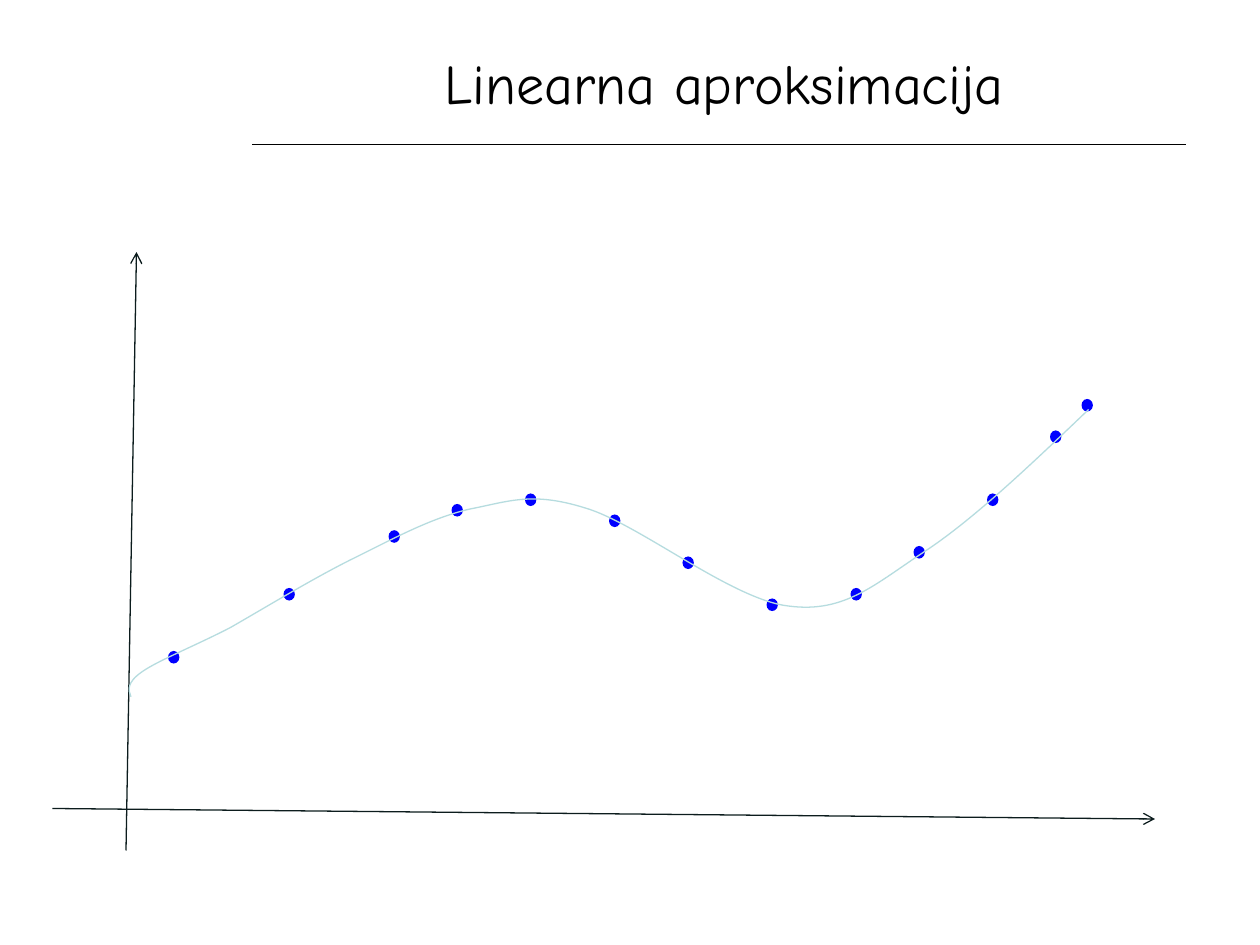
"""Build the slide on linear approximation: a curve with sample points on two axes."""
from typing import NamedTuple

from lxml import etree
from pptx import Presentation
from pptx.dml.color import RGBColor
from pptx.enum.shapes import MSO_CONNECTOR, MSO_SHAPE
from pptx.enum.text import MSO_ANCHOR, PP_ALIGN
from pptx.oxml.ns import qn
from pptx.util import Inches, Pt

STRAIGHT = MSO_CONNECTOR.STRAIGHT
OVAL = MSO_SHAPE.OVAL
MIDDLE = MSO_ANCHOR.MIDDLE
CENTER = PP_ALIGN.CENTER

BLACK = RGBColor(0x00, 0x00, 0x00)
AXIS_INK = RGBColor(0x0C, 0x1C, 0x1D)
DOT_BLUE = RGBColor(0x00, 0x00, 0xFF)
CURVE_TEAL = RGBColor(0xB6, 0xDC, 0xDF)

FONT = "Comic Neue"
CELL = Inches(1) / 12
HUNDREDTH = Inches(0.01)
DOT_WIDTH, DOT_HEIGHT = Inches(0.09), Inches(0.1)
LINE_WIDTH = Pt(0.75)


class Point(NamedTuple):
    """A place on the slide, in grid cells or in hundredths of an inch."""
    x: float
    y: float


class Line(NamedTuple):
    """A straight line between two grid points."""
    start: Point
    end: Point
    color: RGBColor
    arrow: bool


LINES = [
    Line(Point(24, 13.75), Point(112.92, 13.75), BLACK, False),
    Line(Point(12, 81), Point(13, 24), AXIS_INK, True),
    Line(Point(5, 77), Point(110, 78), AXIS_INK, True),
]
SAMPLES = [
    Point(16, 62), Point(27, 56), Point(37, 50.5), Point(43, 48), Point(50, 47),
    Point(58, 49), Point(65, 53), Point(73, 57), Point(81, 56), Point(87, 52),
    Point(94, 47), Point(100, 41), Point(103, 38),
]
CURVE_START = Point(104, 553)
CURVE_PIECES = [
    (Point(102, 548), Point(100, 542), Point(113, 533)),
    (Point(126, 524), Point(154, 513), Point(183, 498)),
    (Point(211, 482), Point(252, 457), Point(283, 442)),
    (Point(315, 426), Point(343, 411), Point(373, 404)),
    (Point(404, 398), Point(422, 390), Point(464, 403)),
    (Point(506, 415), Point(581, 476), Point(626, 481)),
    (Point(671, 487), Point(695, 463), Point(735, 437)),
    (Point(774, 411), Point(819, 368), Point(864, 325)),
]


def grid(count: float) -> int:
    """Turn grid cells into a slide length."""
    return round(count * CELL)


def write_title(page, text: str) -> None:
    """Place and format the title."""
    box = page.shapes.title
    box.left, box.top = Inches(2), Inches(0.28)
    box.width, box.height = Inches(7.5), Inches(0.75)
    box.text_frame.text = text
    box.text_frame.vertical_anchor = MIDDLE
    para = box.text_frame.paragraphs[0]
    para.alignment = CENTER
    para.font.name = FONT
    para.font.size = Pt(32)
    para.font.color.rgb = BLACK


def draw_line(page, line: Line) -> None:
    """Draw a straight line, with an arrowhead if it has one."""
    ends = [grid(value) for value in (*line.start, *line.end)]
    connector = page.shapes.add_connector(STRAIGHT, *ends)
    connector.line.color.rgb = line.color
    connector.line.width = LINE_WIDTH
    if line.arrow:
        outline = connector.line._get_or_add_ln()
        etree.SubElement(outline, qn("a:tailEnd"), type="arrow")
    etree.SubElement(connector._element.spPr, qn("a:effectLst"))


def draw_dot(page, corner: Point) -> None:
    """Draw one sample point."""
    dot = page.shapes.add_shape(OVAL, grid(corner.x), grid(corner.y), DOT_WIDTH, DOT_HEIGHT)
    dot.shadow.inherit = False
    dot.fill.solid()
    dot.fill.fore_color.rgb = DOT_BLUE
    dot.line.fill.background()


def bend(outline) -> None:
    """Turn each three straight segments of an outline into one cubic curve."""
    segments = outline.findall(qn("a:lnTo"))
    for first in range(0, len(segments), 3):
        cubic = etree.SubElement(outline, qn("a:cubicBezTo"))
        for segment in segments[first:first + 3]:
            cubic.append(segment[0])
            outline.remove(segment)


def draw_curve(page) -> None:
    """Draw the smooth curve through the sample points."""
    builder = page.shapes.build_freeform(*CURVE_START, scale=HUNDREDTH)
    builder.add_line_segments([point for piece in CURVE_PIECES for point in piece], close=False)
    curve = builder.convert_to_shape()
    bend(next(curve._element.iter(qn("a:path"))))
    curve.shadow.inherit = False
    curve.fill.background()
    curve.line.color.rgb = CURVE_TEAL
    curve.line.width = LINE_WIDTH


def main() -> None:
    """Build and save the deck."""
    deck = Presentation()
    deck.slide_width, deck.slide_height = Inches(10), Inches(7.5)
    page = deck.slides.add_slide(deck.slide_layouts.get_by_name("Title Only"))
    write_title(page, "Linearna aproksimacija")
    for line in LINES:
        draw_line(page, line)
    for corner in SAMPLES:
        draw_dot(page, corner)
    draw_curve(page)
    deck.save("out.pptx")


if __name__ == "__main__":
    main()
